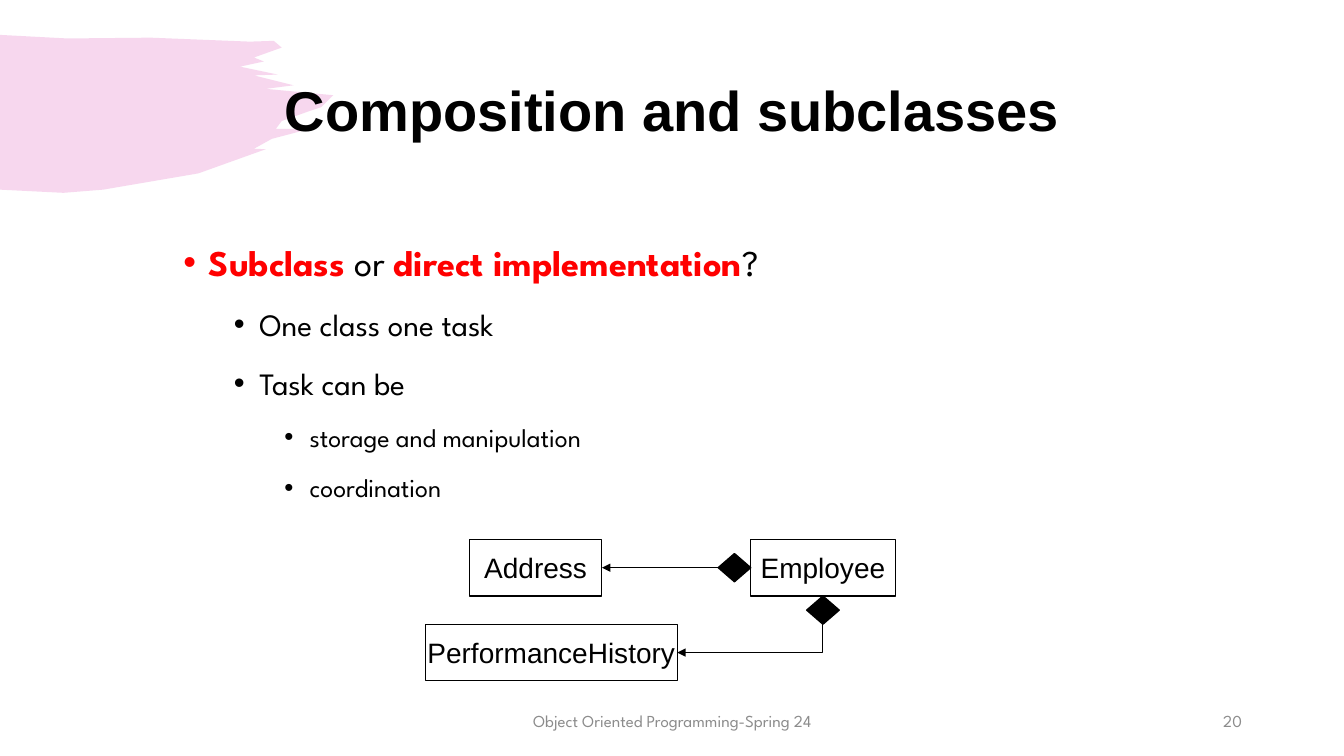
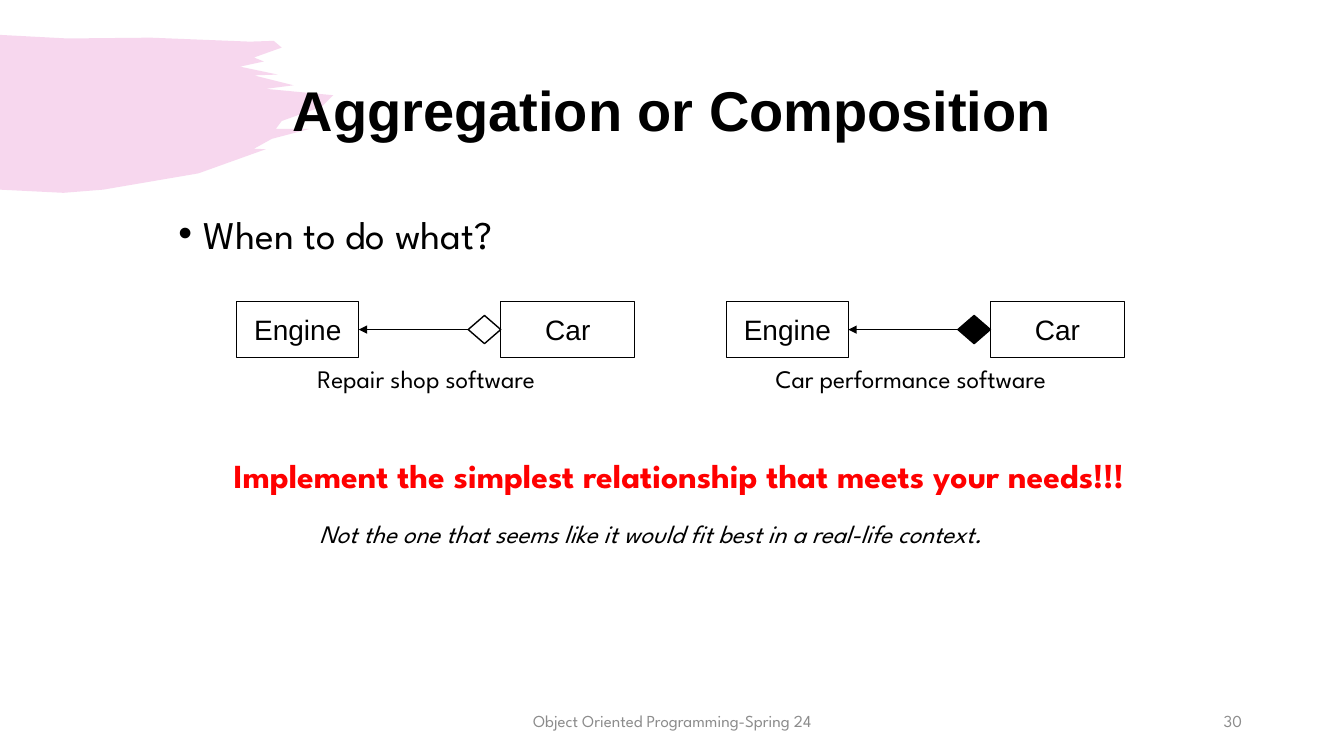
from lxml.etree import SubElement
from pptx import Presentation
from pptx.dml.color import RGBColor
from pptx.enum.shapes import MSO_CONNECTOR, MSO_SHAPE
from pptx.enum.text import MSO_ANCHOR, MSO_AUTO_SIZE, PP_ALIGN
from pptx.oxml.ns import qn
from pptx.util import Cm, Pt

COLORS = {"black": "000000", "white": "FFFFFF", "red": "FF0000",
          "gray": "8C8C8C", "brush": "D739AE"}
HEADING_FONT = "Arial"
TEXT_FONT = "League Spartan"
FOOTER = "Object Oriented Programming-Spring 24"
BOX_HEIGHT = 1.43
DIAMOND_WIDTH, DIAMOND_HEIGHT = 0.82, 0.71
RIGHT_SIDE, LEFT_SIDE, BOTTOM_SIDE = 3, 1, 2

BRUSH_OUTLINE = [
    (0, 0.88), (1.7, 0.97), (3.8, 0.95), (6.3, 1.05), (6.9, 1.03), (7.1, 1.2),
    (6.4, 1.45), (6.65, 1.55), (6.05, 1.68), (7, 1.88), (6.4, 1.9),
    (7.4, 2.15), (6.7, 2.24), (8.4, 2.4), (8.1, 2.7), (7.8, 2.8),
    (7.1, 3.05), (6.95, 3.25), (7.8, 3.25), (6.85, 3.5), (6.4, 3.75),
    (6.7, 3.76), (5, 4.37), (2.6, 4.78), (1.6, 4.86), (0, 4.78),
]


def color(name):
    """Return the named colour."""
    return RGBColor.from_string(COLORS[name])


def style_font(font, size, name=TEXT_FONT, tone="black", bold=False, italic=False):
    """Apply typeface, size, colour and weight to a font."""
    font.name, font.size = name, Pt(size)
    font.bold, font.italic = bold, italic
    font.color.rgb = color(tone)


def place(shape, left, top, width, height):
    """Position a shape in centimetres."""
    shape.left, shape.top = Cm(left), Cm(top)
    shape.width, shape.height = Cm(width), Cm(height)


def add_brush_to_layout(slide):
    """Draw the translucent brush stroke and move it to the slide's layout."""
    points = [(Cm(x), Cm(y)) for x, y in BRUSH_OUTLINE]
    builder = slide.shapes.build_freeform(*points[0])
    builder.add_line_segments(points[1:], close=True)
    brush = builder.convert_to_shape()
    brush.shadow.inherit = False
    brush.fill.solid()
    brush.fill.fore_color.rgb = color("brush")
    brush.line.fill.background()
    fill_color = brush.element.spPr.find(".//" + qn("a:srgbClr"))
    SubElement(fill_color, qn("a:alpha"), val="20000")
    brush.element.nvSpPr.cNvPr.set("id", "20")
    slide.slide_layout.shapes.element.insert(2, brush.element)


def add_text(slide, text, bounds, size, align=PP_ALIGN.LEFT, spacing=1.0,
             anchor=MSO_ANCHOR.TOP, **style):
    """Add a wrapped one-paragraph text box."""
    frame = slide.shapes.add_textbox(*(Cm(value) for value in bounds)).text_frame
    frame.word_wrap = True
    frame.vertical_anchor = anchor
    paragraph = frame.paragraphs[0]
    paragraph.text = text
    paragraph.alignment = align
    paragraph.line_spacing = spacing
    style_font(paragraph.font, size, **style)


def add_slide(presentation, title, number):
    """Add a slide with its title, footer and number."""
    slide = presentation.slides.add_slide(presentation.slide_layouts[1])
    heading = slide.shapes.title
    place(heading, 2.33, 1.01, 29.21, 3.68)
    heading.text_frame.text = title
    heading.text_frame.vertical_anchor = MSO_ANCHOR.MIDDLE
    heading.text_frame.auto_size = MSO_AUTO_SIZE.NONE
    paragraph = heading.text_frame.paragraphs[0]
    paragraph.alignment = PP_ALIGN.CENTER
    paragraph.line_spacing = 0.9
    style_font(paragraph.font, 40, HEADING_FONT, bold=True)
    add_text(slide, FOOTER, (11.23, 17.65, 11.43, 1.02), 12, PP_ALIGN.CENTER,
             anchor=MSO_ANCHOR.MIDDLE, tone="gray")
    add_text(slide, str(number), (23.93, 17.65, 7.62, 1.02), 12, PP_ALIGN.RIGHT,
             anchor=MSO_ANCHOR.MIDDLE, tone="gray")
    return slide


def fill_bullets(slide, bounds, items, sizes, spacing):
    """Fill the body with (level, runs) items, runs being (text, emphasised)."""
    body = slide.placeholders[1]
    place(body, *bounds)
    frame = body.text_frame
    frame.auto_size = MSO_AUTO_SIZE.NONE
    for index, (level, runs) in enumerate(items):
        paragraph = frame.add_paragraph() if index else frame.paragraphs[0]
        paragraph.level = level
        paragraph.line_spacing = spacing
        paragraph.space_before = Pt(5 if index else 0)
        properties = paragraph._p.get_or_add_pPr()
        properties.set("marL", str(Cm(0.64 + 1.27 * level)))
        properties.set("indent", str(Cm(-0.64)))
        SubElement(properties, qn("a:buFont"), typeface="Arial")
        SubElement(properties, qn("a:buChar"), char="•")
        style_font(paragraph.font, sizes[level])
        for text, emphasised in runs:
            run = paragraph.add_run()
            run.text = text
            if emphasised:
                run.font.bold = True
                run.font.color.rgb = color("red")


def add_class_box(slide, name, left, top, width):
    """Add an outlined class box with its name."""
    box = slide.shapes.add_shape(MSO_SHAPE.RECTANGLE, Cm(left), Cm(top),
                                 Cm(width), Cm(BOX_HEIGHT))
    box.shadow.inherit = False
    box.fill.background()
    box.line.color.rgb = color("black")
    box.line.width = Pt(0.75)
    frame = box.text_frame
    frame.word_wrap = False
    frame.margin_left = frame.margin_right = 0
    frame.vertical_anchor = MSO_ANCHOR.MIDDLE
    paragraph = frame.paragraphs[0]
    paragraph.text = name
    paragraph.alignment = PP_ALIGN.CENTER
    style_font(paragraph.font, 20, HEADING_FONT)
    return box


def add_relationship(slide, whole, part, tone="black", below=False):
    """Put a diamond beside or below the whole and point an arrow at the part."""
    width, height = Cm(DIAMOND_WIDTH), Cm(DIAMOND_HEIGHT)
    if below:
        left = whole.left + (whole.width - width) // 2
        top = whole.top + whole.height
    else:
        left = whole.left - width
        top = whole.top + (whole.height - height) // 2
    diamond = slide.shapes.add_shape(MSO_SHAPE.DIAMOND, left, top, width, height)
    diamond.shadow.inherit = False
    diamond.fill.solid()
    diamond.fill.fore_color.rgb = color(tone)
    diamond.line.color.rgb = color("black")
    diamond.line.width = Pt(1)

    kind = MSO_CONNECTOR.ELBOW if below else MSO_CONNECTOR.STRAIGHT
    arrow = slide.shapes.add_connector(kind, 0, 0, 0, 0)
    arrow.begin_connect(part, RIGHT_SIDE)
    arrow.end_connect(diamond, BOTTOM_SIDE if below else LEFT_SIDE)
    arrow.line.color.rgb = color("black")
    arrow.line.width = Pt(0.75)
    properties = arrow.element.spPr
    if below:
        properties.find(qn("a:prstGeom")).set("prst", "bentConnector2")
    SubElement(properties.find(qn("a:ln")), qn("a:headEnd"), type="triangle")
    SubElement(properties, qn("a:effectLst"))


def build_subclasses(presentation):
    """Build the slide on composition and subclasses."""
    slide = add_slide(presentation, "Composition and subclasses", 20)
    add_brush_to_layout(slide)
    items = [
        (0, [("Subclass", True), (" or ", False),
             ("direct implementation", True), ("?", False)]),
        (1, [("One class one task", False)]),
        (1, [("Task can be", False)]),
        (2, [("storage and manipulation", False)]),
        (2, [("coordination", False)]),
    ]
    fill_bullets(slide, (4.37, 5.48, 25.4, 7.07), items, (25.9, 22.2, 18.5), 1.4)
    address = add_class_box(slide, "Address", 11.83, 13.59, 3.34)
    employee = add_class_box(slide, "Employee", 18.92, 13.59, 3.64)
    history = add_class_box(slide, "PerformanceHistory", 10.72, 15.73, 6.35)
    add_relationship(slide, employee, address)
    add_relationship(slide, employee, history, below=True)


def build_aggregation(presentation):
    """Build the slide comparing aggregation and composition."""
    slide = add_slide(presentation, "Aggregation or Composition", 30)
    fill_bullets(slide, (4.24, 4.57, 25.4, 1.99),
                 [(0, [("When to do what?", False)])], (28,), 1.5)
    examples = [
        (5.97, "white", "Repair shop software", 7.75),
        (18.31, "black", "Car performance software", 19.3),
    ]
    for left, tone, caption, caption_left in examples:
        engine = add_class_box(slide, "Engine", left, 7.59, 3.07)
        car = add_class_box(slide, "Car", left + 6.65, 7.59, 3.38)
        add_relationship(slide, car, engine, tone)
        add_text(slide, caption, (caption_left, 9.02, 8.8, 1.02), 18)
    add_text(slide, "Implement the simplest relationship that meets your needs!!!",
             (5.64, 10.82, 25.3, 1.6), 24, spacing=1.5, tone="red", bold=True)
    add_text(slide, "Not the one that seems like it would fit best in a real-life context.",
             (7.8, 12.55, 20.32, 2.18), 18, spacing=1.5, italic=True)


def main():
    """Create and save the presentation."""
    presentation = Presentation()
    presentation.slide_width, presentation.slide_height = Cm(33.87), Cm(19.05)
    build_subclasses(presentation)
    build_aggregation(presentation)
    presentation.save("out.pptx")


if __name__ == "__main__":
    main()
